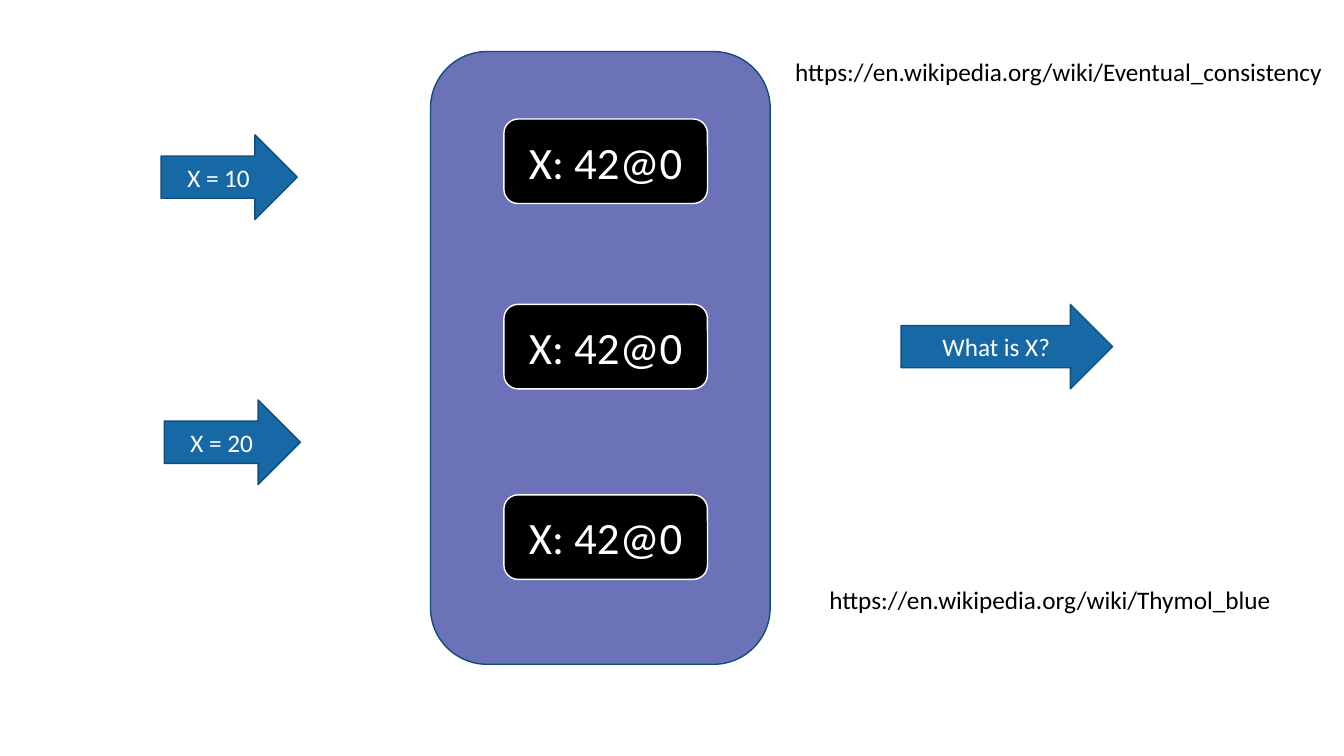
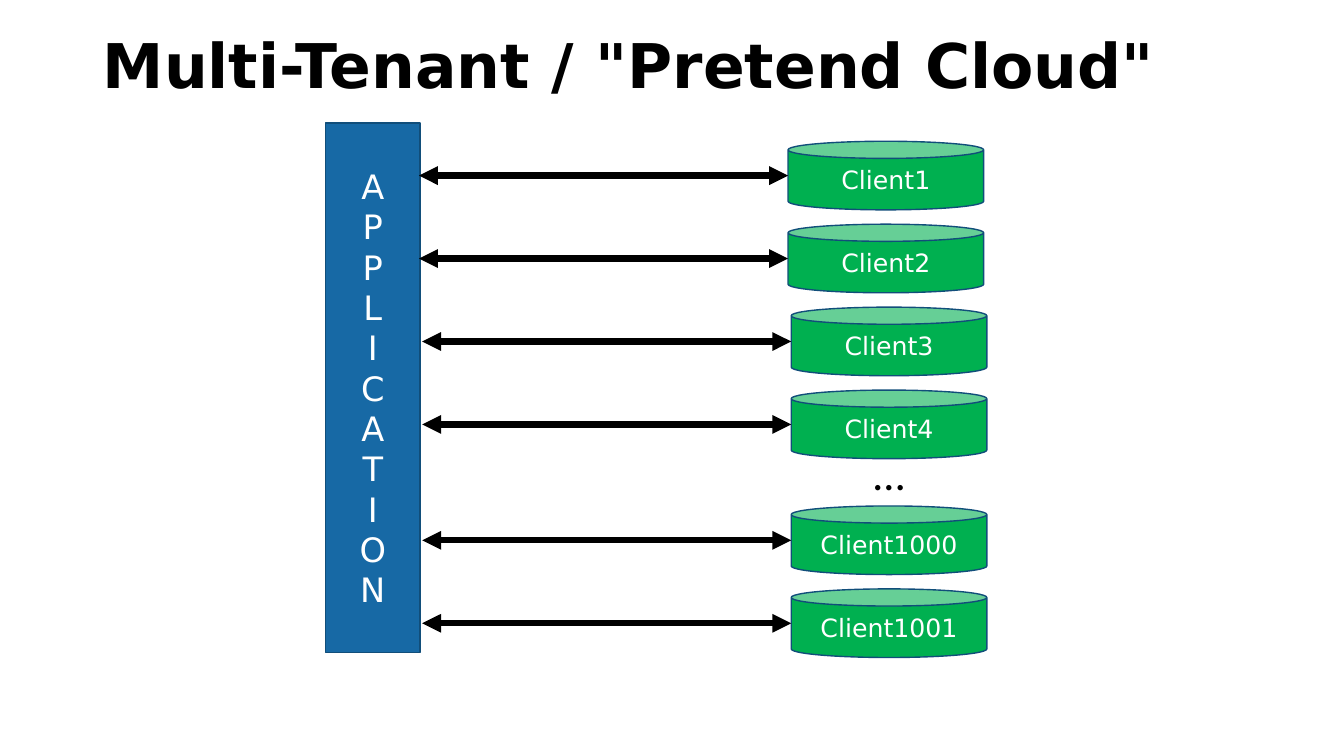
from lxml.etree import SubElement
from pptx import Presentation
from pptx.dml.color import RGBColor
from pptx.enum.shapes import MSO_CONNECTOR as Link, MSO_SHAPE as Kind
from pptx.enum.text import MSO_ANCHOR as Anchor, PP_ALIGN as Align
from pptx.oxml.ns import qn
from pptx.util import Cm, Pt

BLACK, WHITE, BLUE, EDGE = "000000", "FFFFFF", "1769A5", "114E7A"
PURPLE, GREEN = "6B72B7", "00B050"
SANS, WIDE = "Calibri", "DejaVu Sans"

# Places and sizes are in centimetres.
PANEL = (10.85, 1.3, 8.56, 15.44)
NODES = [("X: 42@0", 3.0), ("X: 42@0", 7.67), ("X: 42@0", 12.47)]
NODE_X, NODE_W, ROW_H = 12.7, 5.13, 2.13
ARROWS = [
    ("X = 10", 4.06, 3.4, 3.43),
    ("X = 20", 4.14, 10.08, 3.43),
    ("What is X?", 22.71, 7.67, 5.33),
]
REFS = [
    ("https://en.wikipedia.org/wiki/Eventual_consistency", 19.79, 1.3, 13.94),
    ("https://en.wikipedia.org/wiki/Thymol_blue", 20.65, 14.6, 11.76),
]

TITLE = 'Multi-Tenant / "Pretend Cloud"'
APP = "APPLICATION"
BAR = (8.2, 3.1, 2.39, 13.34)
# Each run of clients: top of the first, then (name, left edge)
STACKS = [
    (3.56, [("Client1", 19.86), ("Client2", 19.86),
            ("Client3", 19.94), ("Client4", 19.94)]),
    (12.75, [("Client1000", 19.94), ("Client1001", 19.94)]),
]
CAN_W, CAN_H, STEP, REACH = 4.93, 1.73, 2.09, 9.3


def color(code):
    return RGBColor.from_string(code)


def write(shape, *lines, size=18, font=SANS, ink=WHITE, bold=False,
          align=Align.CENTER, anchor=Anchor.MIDDLE, wrap=True, lead=None):
    """Fill a shape with one paragraph per line."""
    frame = shape.text_frame
    frame.word_wrap = wrap
    frame.vertical_anchor = anchor
    for i, line in enumerate(lines):
        para = frame.add_paragraph() if i else frame.paragraphs[0]
        para.alignment = align
        para.line_spacing = lead
        run = para.add_run()
        run.text = line
        run.font.size = Pt(size)
        run.font.name = font
        run.font.bold = bold
        run.font.color.rgb = color(ink)


def block(slide, kind, box, fill, edge=EDGE):
    shape = slide.shapes.add_shape(kind, *map(Cm, box))
    shape.shadow.inherit = False
    shape.fill.solid()
    shape.fill.fore_color.rgb = color(fill)
    shape.line.color.rgb = color(edge)
    shape.line.width = Pt(1)
    return shape


def label(slide, text, box, **style):
    style = dict(ink=BLACK, align=Align.LEFT, anchor=Anchor.TOP) | style
    write(slide.shapes.add_textbox(*map(Cm, box)), text, **style)


def join(slide, left, right, y):
    """Draw a level line with an arrowhead at both ends."""
    line = slide.shapes.add_connector(
        Link.STRAIGHT, Cm(left), Cm(y), Cm(right), Cm(y))
    line.line.color.rgb = color(BLACK)
    line.line.width = Pt(4.5)
    pen = line.line._get_or_add_ln()
    for end in ("a:headEnd", "a:tailEnd"):
        SubElement(pen, qn(end), type="triangle")
    SubElement(line._element.spPr, qn("a:effectLst"))


def draw_nodes(slide):
    block(slide, Kind.ROUNDED_RECTANGLE, PANEL, PURPLE)
    for text, y in NODES:
        box = (NODE_X, y, NODE_W, ROW_H)
        node = block(slide, Kind.ROUNDED_RECTANGLE, box, BLACK, WHITE)
        write(node, text, size=32)
    for text, x, y, w in ARROWS:
        write(block(slide, Kind.RIGHT_ARROW, (x, y, w, ROW_H), BLUE), text)
    for text, x, y, w in REFS:
        label(slide, text, (x, y, w, 1.02), wrap=False)


def draw_cloud(slide):
    label(slide, TITLE, (2.34, 0.69, 29.21, 2.08), size=44, font=WIDE,
          bold=True, anchor=Anchor.MIDDLE, lead=0.9)
    write(block(slide, Kind.RECTANGLE, BAR, BLUE), *APP, size=24, font=WIDE)
    for top, names in STACKS:
        for i, (name, x) in enumerate(names):
            y = top + i * STEP
            can = block(slide, Kind.CAN, (x, y, CAN_W, CAN_H), GREEN)
            write(can, name, font=WIDE)
            join(slide, x - REACH, x, y + CAN_H / 2)
    label(slide, "…", (21.77, 11.1, 2.01, 1.63), size=32)


def main():
    deck = Presentation()
    deck.slide_width, deck.slide_height = Cm(33.87), Cm(19.05)
    for draw in (draw_nodes, draw_cloud):
        draw(deck.slides.add_slide(deck.slide_layouts[6]))
    deck.save("out.pptx")


if __name__ == "__main__":
    main()
